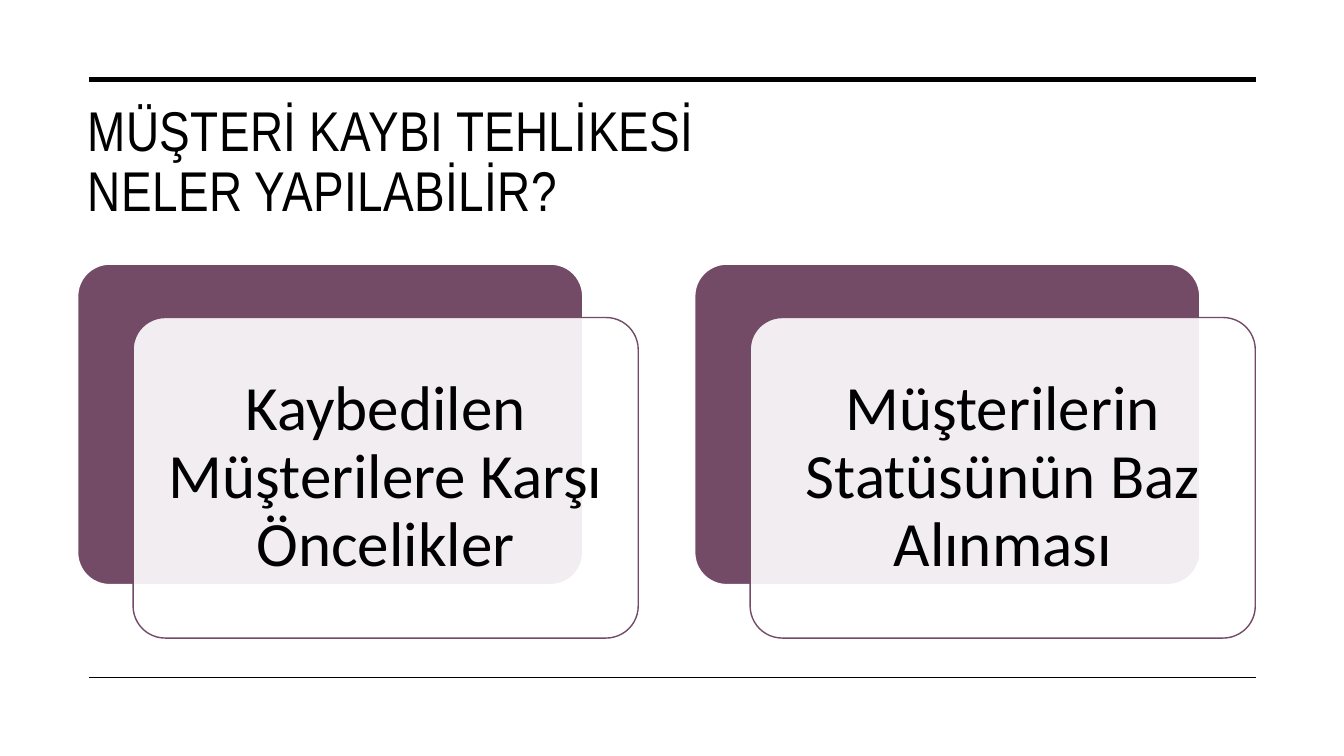
from pptx import Presentation
from pptx.dml.color import RGBColor
from pptx.enum.shapes import MSO_CONNECTOR as Connector, MSO_SHAPE as Shape
from pptx.enum.text import MSO_ANCHOR as Anchor, PP_ALIGN as Align
from pptx.oxml.ns import qn
from pptx.util import Inches, Pt
from lxml.etree import SubElement

BLACK, WHITE, PLUM = "000000", "FFFFFF", "734B67"
CARD_WIDTH, CARD_HEIGHT = 5.01, 3.18
OFFSET_X, OFFSET_Y = 0.55, 0.53
CARD_STEP = 6.12


def color(hex_value):
    """Return the colour for a hex string."""
    return RGBColor.from_string(hex_value)


def apply_format(target, values):
    """Set every attribute named in the dict of format values."""
    for attribute, value in values.items():
        setattr(target, attribute, value)


def write_text(frame, text, frame_format, paragraph_format, font_format):
    """Write one black paragraph with the given formats and return its run."""
    apply_format(frame, frame_format)
    paragraph = frame.paragraphs[0]
    paragraph.text = text
    apply_format(paragraph, paragraph_format)
    for run in paragraph.runs:
        apply_format(run.font, font_format)
        run.font.color.rgb = color(BLACK)
    return paragraph.runs


def add_rule(slide, left, top, width, weight):
    """Draw a horizontal black rule."""
    rule = slide.shapes.add_connector(
        Connector.STRAIGHT, Inches(left), Inches(top), Inches(left + width), Inches(top))
    rule.line.color.rgb = color(BLACK)
    rule.line.width = Pt(weight)
    SubElement(rule._element.spPr, qn("a:effectLst"))


def add_heading(slide, left, top, width, height, text):
    """Place and format the title placeholder."""
    heading = slide.shapes.title
    apply_format(heading, {"left": Inches(left), "top": Inches(top),
                           "width": Inches(width), "height": Inches(height)})
    runs = write_text(
        heading.text_frame, text,
        {"word_wrap": True, "vertical_anchor": Anchor.MIDDLE},
        {"alignment": Align.LEFT, "line_spacing": 0.9},
        {"name": "Arial Narrow", "size": Pt(40)})
    for run in runs:
        run._r.get_or_add_rPr().set("spc", "30")


def add_panel(slide, left, top, fill, outline):
    """Draw one rounded panel of a card."""
    panel = slide.shapes.add_shape(
        Shape.ROUNDED_RECTANGLE, Inches(left), Inches(top),
        Inches(CARD_WIDTH), Inches(CARD_HEIGHT))
    panel.adjustments[0] = 0.1
    panel.shadow.inherit = False
    panel.fill.solid()
    panel.fill.fore_color.rgb = color(fill)
    panel.line.color.rgb = color(outline)
    panel.line.width = Pt(1)
    return panel


def add_card(slide, left, top, text):
    """Draw a plum panel with a translucent text panel offset over it."""
    add_panel(slide, left, top, PLUM, WHITE)
    front = add_panel(slide, left + OFFSET_X, top + OFFSET_Y, WHITE, PLUM)
    fill_color = front._element.spPr.find(qn("a:solidFill"))[0]
    SubElement(fill_color, qn("a:alpha"), val="90000")
    margins = {f"margin_{side}": Inches(0.19) for side in ("left", "top", "right", "bottom")}
    write_text(
        front.text_frame, text,
        {"word_wrap": True, "vertical_anchor": Anchor.MIDDLE, **margins},
        {"alignment": Align.CENTER, "line_spacing": 0.9},
        {"name": "Calibri", "size": Pt(45)})


def main():
    """Build the slide and save it."""
    deck = Presentation()
    apply_format(deck, {"slide_width": Inches(13.33), "slide_height": Inches(7.5)})
    slide = deck.slides.add_slide(deck.slide_layouts[5])
    for top, weight in ((0.79, 3.5), (6.72, 1)):
        add_rule(slide, 0.88, top, 11.58, weight)
    add_heading(slide, 0.77, 0.99, 11.69, 1.26,
                "MÜŞTERİ KAYBI TEHLİKESİ\vNELER YAPILABİLİR?")
    topics = ("Kaybedilen Müşterilere Karşı Öncelikler",
              "Müşterilerin Statüsünün Baz Alınması")
    for index, topic in enumerate(topics):
        add_card(slide, 0.77 + index * CARD_STEP, 2.62, topic)
    deck.save("out.pptx")


if __name__ == "__main__":
    main()
